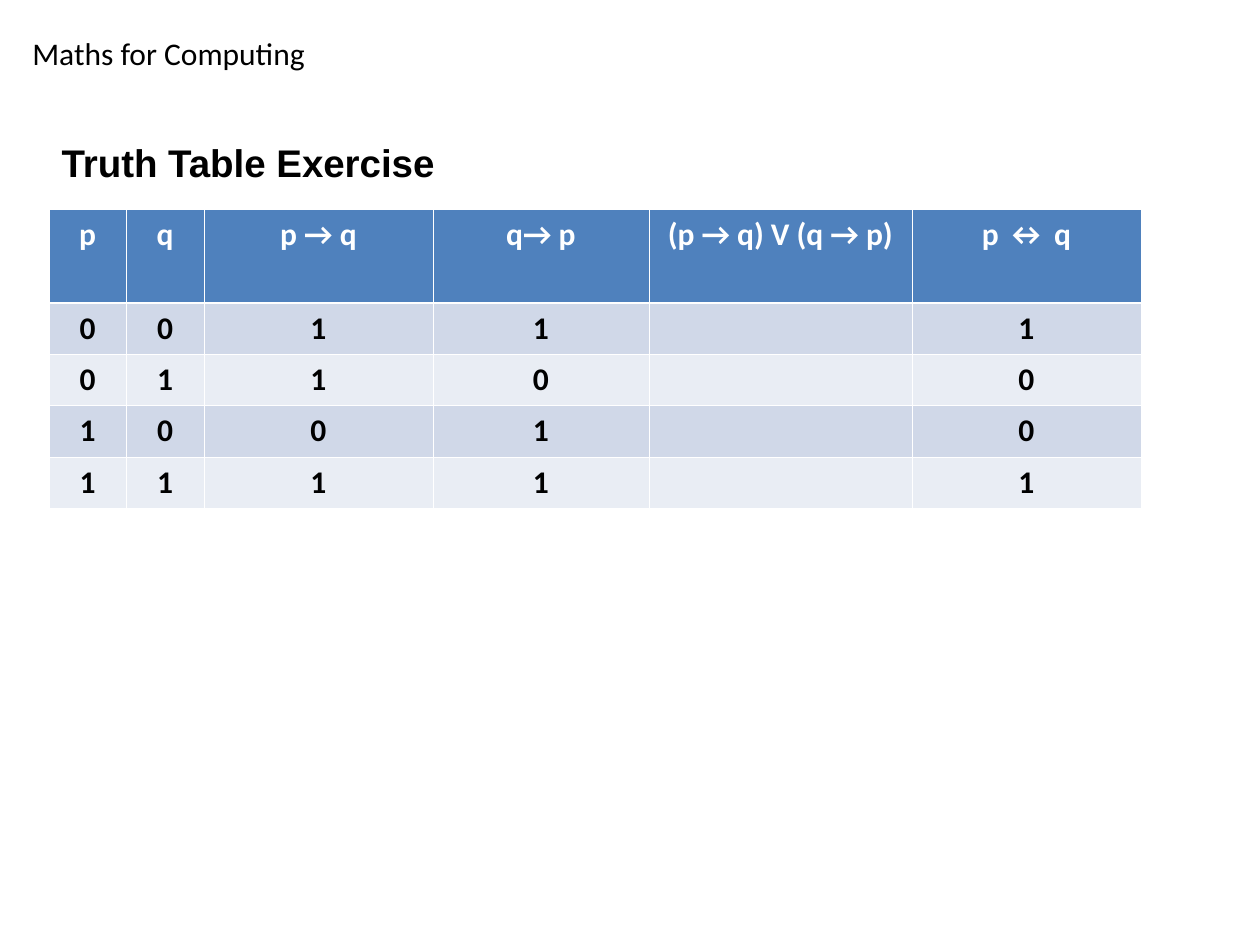
from lxml.etree import SubElement
from pptx import Presentation
from pptx.dml.color import RGBColor
from pptx.enum.text import MSO_ANCHOR, PP_ALIGN
from pptx.oxml.ns import qn
from pptx.util import Emu, Pt

COLORS = {"text": "000000", "head": "4F81BD", "odd": "D0D8E8", "even": "E9EDF4", "white": "FFFFFF"}
FORMATS = {
    "course": {"name": "Calibri", "size": Pt(18), "bold": False},
    "title": {"name": "Arial", "size": Pt(22), "bold": True},
    "cell": {"name": "Calibri", "size": Pt(18), "bold": True},
}


def px(length):
    return Emu(round(length * 914400 / 126))


def write(frame, text, kind, color, align):
    frame.text = text
    paragraph = frame.paragraphs[0]
    paragraph.alignment = align
    for attribute, value in FORMATS[kind].items():
        setattr(paragraph.font, attribute, value)
    paragraph.font.color.rgb = RGBColor.from_string(COLORS[color])


deck = Presentation()
deck.slide_width, deck.slide_height = px(1260), px(945)
slide = deck.slides.add_slide(deck.slide_layouts[5])

course = slide.shapes.add_textbox(px(20), px(28), px(871), px(50)).text_frame
course.word_wrap = True
write(course, "Maths for Computing", "course", "text", PP_ALIGN.LEFT)

title = slide.shapes.title
title.left, title.top, title.width, title.height = px(49), px(129), px(1023), px(54)
title.text_frame.vertical_anchor = MSO_ANCHOR.TOP
title.text_frame.margin_top = px(10)
write(title.text_frame, "Truth Table Exercise", "title", "text", PP_ALIGN.LEFT)

truth_rows = [
    ["p", "q", "p → q", "q→ p", "(p → q) V (q → p)", "p ↔ q"],
    ["0", "0", "1", "1", "", "1"],
    ["0", "1", "1", "0", "", "0"],
    ["1", "0", "0", "1", "", "0"],
    ["1", "1", "1", "1", "", "1"],
]
widths = [77, 78, 229, 216, 263, 229]
heights = [94, 51, 51, 52, 51]
truth_table = slide.shapes.add_table(
    len(heights), len(widths), px(49), px(209), px(sum(widths)), px(sum(heights))
).table
for column, width in zip(truth_table.columns, widths):
    column.width = px(width)
for row, height in zip(truth_table.rows, heights):
    row.height = px(height)

for r, values in enumerate(truth_rows):
    band = "head" if r == 0 else "odd" if r % 2 else "even"
    rules = {
        "a:lnL": 0.45,
        "a:lnR": 0.45,
        "a:lnT": 1.47 if r == 1 else 0.45,
        "a:lnB": 1.47 if r == 0 else 0.45,
    }
    for c, value in enumerate(values):
        cell = truth_table.cell(r, c)
        write(cell.text_frame, value, "cell", "text" if r else "white", PP_ALIGN.CENTER)
        properties = cell._tc.get_or_add_tcPr()
        for tag, weight in rules.items():
            rule = SubElement(properties, qn(tag), w=str(Pt(weight)))
            SubElement(SubElement(rule, qn("a:solidFill")), qn("a:srgbClr"), val=COLORS["white"])
        cell.fill.solid()
        cell.fill.fore_color.rgb = RGBColor.from_string(COLORS[band])

deck.save("out.pptx")
